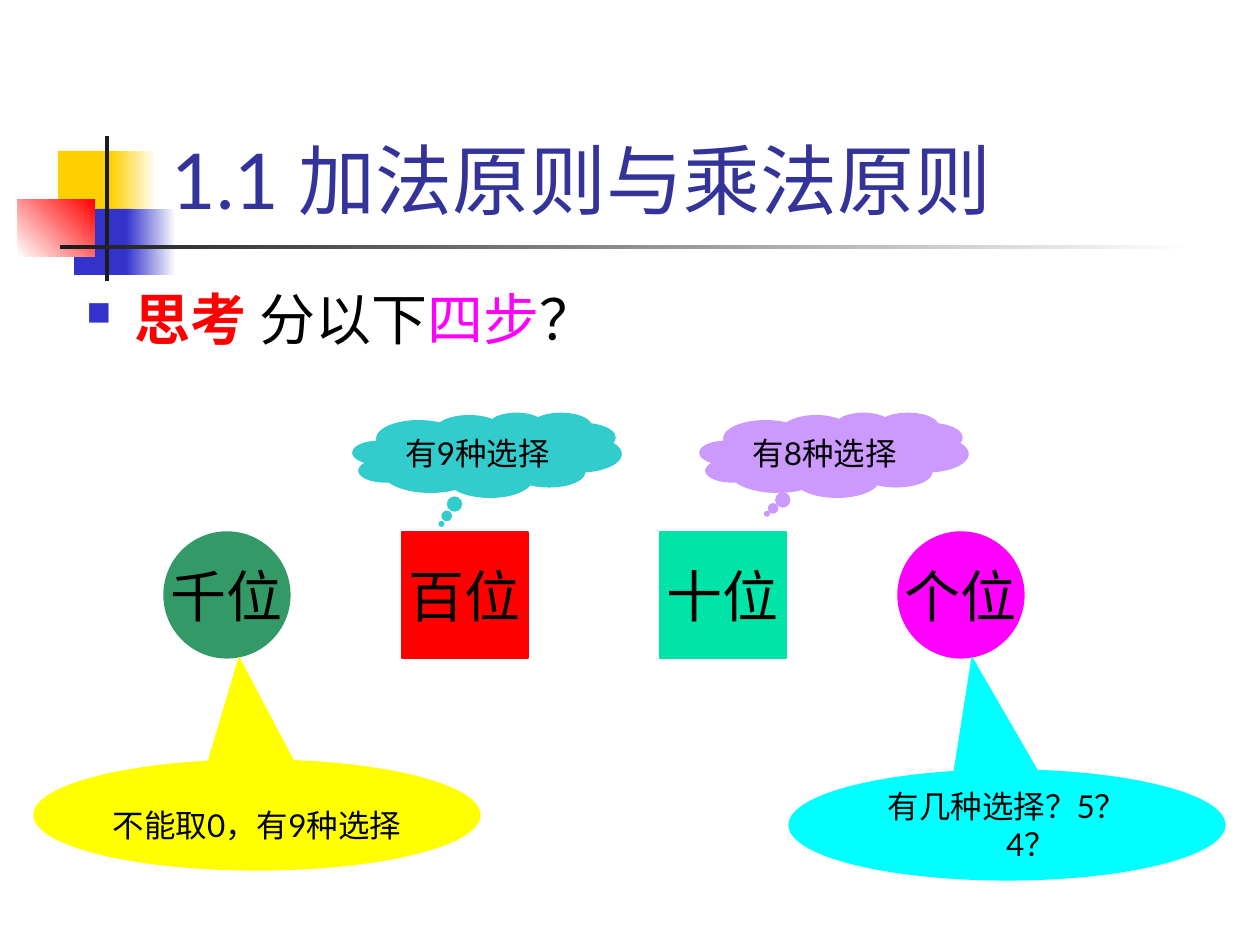
from dataclasses import dataclass

from lxml.etree import SubElement
from pptx import Presentation
from pptx.dml.color import RGBColor
from pptx.enum.shapes import MSO_SHAPE as Preset
from pptx.enum.text import MSO_ANCHOR as Anchor, MSO_AUTO_SIZE as AutoSize, PP_ALIGN as Align
from pptx.oxml.ns import qn
from pptx.util import Emu, Pt

PX_PER_INCH = 126
SLIDE_SIZE = 1260, 945
HANGING = 48


@dataclass(frozen=True)
class Theme:
    font: str = "Lato"
    title_size: int = 44
    body_size: int = 32
    note_size: int = 18
    title: str = "333399"
    text: str = "000000"
    white: str = "FFFFFF"
    gold: str = "FFCF01"
    blue: str = "3333CC"
    red: str = "FF0000"
    rule: str = "1C1C1C"
    magenta: str = "FF00FF"
    green: str = "339966"
    mint: str = "00E4A8"
    cyan: str = "00FFFF"
    yellow: str = "FFFF00"
    teal: str = "33CCCC"
    lilac: str = "CC99FF"


THEME = Theme()


def px(length):
    return Emu(round(length * 914400 / PX_PER_INCH))


def rgb(colour):
    return RGBColor.from_string(colour)


def format_run(run, size, colour=THEME.text, bold=False):
    font = run.font
    font.name, font.size, font.bold = THEME.font, Pt(size), bold
    font.color.rgb = rgb(colour)


def hang(paragraph):
    """Indent every line but the first."""
    properties = paragraph._p.get_or_add_pPr()
    properties.set("marL", str(px(HANGING)))
    properties.set("indent", str(-px(HANGING)))
    return properties


def add_preset(slide, preset, box):
    shape = slide.shapes.add_shape(preset, *map(px, box))
    shape.shadow.inherit = False
    return shape


def add_block(slide, box, start, end=None, angle=0):
    """Add an ornament, fading from start to end where end is given."""
    block = add_preset(slide, Preset.RECTANGLE, box)
    block.line.fill.background()
    if end is None:
        block.fill.solid()
        block.fill.fore_color.rgb = rgb(start)
        return
    block.fill.gradient()
    block.fill.gradient_angle = angle
    for stop, colour, position in zip(block.fill.gradient_stops, (start, end), (0, 1)):
        stop.color.rgb = rgb(colour)
        stop.position = position


def add_ornament(slide):
    add_block(slide, (58, 151, 60, 66), THEME.gold)
    add_block(slide, (111, 151, 45, 66), THEME.gold, THEME.white)
    add_block(slide, (74, 209, 58, 66), THEME.blue)
    add_block(slide, (126, 209, 50, 66), THEME.blue, THEME.white)
    add_block(slide, (18, 199, 77, 58), THEME.white, THEME.red, angle=45)
    add_block(slide, (105, 136, 4, 145), THEME.rule)
    add_block(slide, (60, 245, 1134, 4), THEME.rule, THEME.white)


def set_title(slide, text):
    title = slide.shapes.title
    title.left, title.top, title.width, title.height = map(px, (159, 29, 1074, 202))
    frame = title.text_frame
    frame.text = text
    frame.auto_size = AutoSize.NONE
    frame.vertical_anchor = Anchor.BOTTOM
    frame.paragraphs[0].alignment = Align.LEFT
    format_run(frame.paragraphs[0].runs[0], THEME.title_size, THEME.title)


def add_question(slide, parts):
    """Add the bulleted question from (text, colour, bold) parts."""
    frame = slide.shapes.add_textbox(*map(px, (74, 278, 1159, 667))).text_frame
    frame.word_wrap = True
    paragraph = frame.paragraphs[0]
    properties = hang(paragraph)
    bullet_colour = SubElement(properties, qn("a:buClr"))
    SubElement(bullet_colour, qn("a:srgbClr"), val=THEME.blue)
    SubElement(properties, qn("a:buSzPct"), val="60000")
    SubElement(properties, qn("a:buChar"), char="■")
    for text, colour, bold in parts:
        run = paragraph.add_run()
        run.text = text
        format_run(run, THEME.body_size, colour, bold)


def add_label(slide, preset, box, colour, text, size, wrap=True, tip=()):
    """Add a filled shape with centred text; tip is where a callout points."""
    label = add_preset(slide, preset, box)
    for index, offset in enumerate(tip):
        label.adjustments[index] = offset
    label.fill.solid()
    label.fill.fore_color.rgb = label.line.color.rgb = rgb(colour)
    label.line.width = Pt(0.75)
    frame = label.text_frame
    frame.text = text
    frame.word_wrap = wrap
    frame.vertical_anchor = Anchor.MIDDLE
    paragraph = frame.paragraphs[0]
    paragraph.alignment = Align.CENTER
    hang(paragraph)
    format_run(paragraph.runs[0], size)
    return paragraph


def add_digits(slide):
    for left, preset, colour, text in (
        (164, Preset.OVAL, THEME.green, "千位"),
        (402, Preset.RECTANGLE, THEME.red, "百位"),
        (660, Preset.RECTANGLE, THEME.mint, "十位"),
        (898, Preset.OVAL, THEME.magenta, "个位"),
    ):
        add_label(slide, preset, (left, 532, 126, 126), colour, text, THEME.body_size, wrap=False)


def add_choices(slide):
    oval, cloud = Preset.OVAL_CALLOUT, Preset.CLOUD_CALLOUT
    add_label(slide, oval, (789, 770, 436, 110), THEME.cyan, "有几种选择？5？4？",
              THEME.note_size, tip=(-0.08, -1.52))
    thousands = add_label(slide, oval, (34, 760, 446, 110), THEME.yellow, "不能取0，有9种选择",
                          THEME.note_size, tip=(-0.04, -1.43))
    trailing_space = thousands.add_run()
    trailing_space.text = " "
    format_run(trailing_space, THEME.body_size)
    add_label(slide, cloud, (353, 413, 268, 84), THEME.teal, "有9种选择",
              THEME.note_size, tip=(-0.17, 0.82))
    add_label(slide, cloud, (700, 413, 268, 84), THEME.lilac, "有8种选择",
              THEME.note_size, tip=(-0.25, 0.7))


def main():
    deck = Presentation()
    deck.slide_width, deck.slide_height = map(px, SLIDE_SIZE)
    slide = deck.slides.add_slide(deck.slide_layouts.get_by_name("Title Only"))
    add_ornament(slide)
    set_title(slide, "1.1 加法原则与乘法原则")
    add_question(slide, (
        ("思考", THEME.red, True),
        (" 分以下", THEME.text, False),
        ("四步", THEME.magenta, False),
        ("？", THEME.text, False),
    ))
    add_digits(slide)
    add_choices(slide)
    deck.save("out.pptx")


if __name__ == "__main__":
    main()
